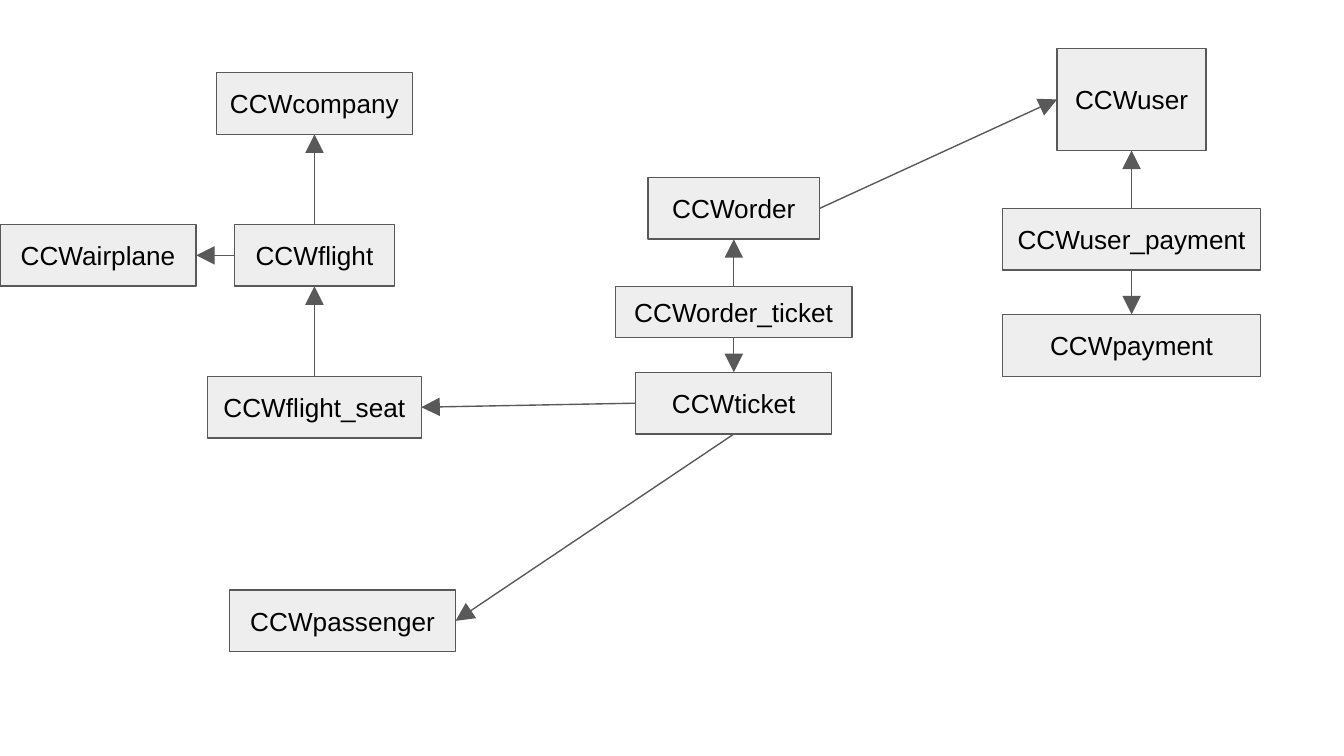
from lxml.etree import SubElement
from pptx import Presentation
from pptx.dml.color import RGBColor
from pptx.enum.shapes import MSO_CONNECTOR, MSO_SHAPE
from pptx.enum.text import MSO_ANCHOR, PP_ALIGN
from pptx.oxml.ns import qn
from pptx.util import Inches, Pt

ENTITY_FILL = RGBColor(0xEE, 0xEE, 0xEE)
OUTLINE = RGBColor(0x59, 0x59, 0x59)
TEXT = RGBColor(0x00, 0x00, 0x00)
WHITE = RGBColor(0xFF, 0xFF, 0xFF)

SLIDE_FORMAT = {"slide_width": Inches(10), "slide_height": Inches(10 * 9 / 16)}
ROW_HEIGHT = 0.46
TOP, LEFT, BOTTOM, RIGHT = range(4)
FRAME_FORMAT = {
    "word_wrap": True,
    "vertical_anchor": MSO_ANCHOR.MIDDLE,
    **{f"margin_{side}": Inches(0.1) for side in ("left", "top", "right", "bottom")},
}
FONT_FORMAT = {"name": "Arial", "size": Pt(14)}
ARROWHEAD = {"type": "triangle", "w": "lg", "len": "lg"}


def apply_format(target, values):
    """Set each named attribute on the target."""
    for name, value in values.items():
        setattr(target, name, value)


def style_outline(line):
    """Give a line the diagram's colour and weight."""
    line.color.rgb = OUTLINE
    line.width = Pt(0.75)


def add_entity(slide, name, center, top, width, height=ROW_HEIGHT):
    """Add one entity rectangle centred on a horizontal position."""
    entity = slide.shapes.add_shape(
        MSO_SHAPE.RECTANGLE,
        Inches(center - width / 2), Inches(top), Inches(width), Inches(height),
    )
    entity.shadow.inherit = False
    entity.fill.solid()
    entity.fill.fore_color.rgb = ENTITY_FILL
    style_outline(entity.line)
    apply_format(entity.text_frame, FRAME_FORMAT)
    label = entity.text_frame.paragraphs[0]
    label.alignment = PP_ALIGN.CENTER
    label_run = label.add_run()
    label_run.text = name
    apply_format(label_run.font, FONT_FORMAT)
    label_run.font.color.rgb = TEXT
    return entity


def add_reference(slide, source, source_side, target, target_side):
    """Join two entities with an arrow pointing at the target."""
    reference = slide.shapes.add_connector(MSO_CONNECTOR.STRAIGHT, 0, 0, 0, 0)
    reference.begin_connect(source, source_side)
    reference.end_connect(target, target_side)
    style_outline(reference.line)
    properties = reference._element.spPr
    SubElement(properties.find(qn("a:ln")), qn("a:tailEnd"), ARROWHEAD)
    SubElement(properties, qn("a:effectLst"))


def add_flight_region(slide, left, top, width, height):
    """Build the flight entities and return the seat and passenger."""
    airplane_width, passenger_width = 1.46, 1.68
    center = left + 2.34
    middle = top + 1.13
    company = add_entity(slide, "CCWcompany", center, top, 1.46)
    flight = add_entity(slide, "CCWflight", center, middle, 1.19)
    seat = add_entity(slide, "CCWflight_seat", center, top + 2 * 1.13, 1.59)
    airplane = add_entity(
        slide, "CCWairplane", left + airplane_width / 2, middle, airplane_width
    )
    passenger = add_entity(
        slide, "CCWpassenger", left + width - passenger_width / 2,
        top + height - ROW_HEIGHT, passenger_width,
    )
    add_reference(slide, flight, LEFT, airplane, RIGHT)
    add_reference(slide, seat, TOP, flight, BOTTOM)
    add_reference(slide, flight, TOP, company, BOTTOM)
    return seat, passenger


def add_order_region(slide, left, top, width, height):
    """Build the order entities and return the order and ticket."""
    center = left + width / 2
    order = add_entity(slide, "CCWorder", center, top, 1.28)
    order_ticket = add_entity(slide, "CCWorder_ticket", center, top + 0.81, width, 0.38)
    ticket = add_entity(slide, "CCWticket", center, top + height - ROW_HEIGHT, 1.46)
    add_reference(slide, order_ticket, TOP, order, BOTTOM)
    add_reference(slide, order_ticket, BOTTOM, ticket, TOP)
    return order, ticket


def add_user_region(slide, left, top, width, height):
    """Build the user and payment entities and return the user."""
    center = left + width / 2
    user = add_entity(slide, "CCWuser", center, top, 1.11, 0.76)
    user_payment = add_entity(slide, "CCWuser_payment", center, top + 1.19, width)
    payment = add_entity(slide, "CCWpayment", center, top + height - ROW_HEIGHT, width)
    add_reference(slide, user_payment, TOP, user, BOTTOM)
    add_reference(slide, user_payment, BOTTOM, payment, TOP)
    return user


def main():
    """Build and save the entity diagram."""
    deck = Presentation()
    apply_format(deck, SLIDE_FORMAT)
    slide = deck.slides.add_slide(deck.slide_layouts[6])
    slide.background.fill.solid()
    slide.background.fill.fore_color.rgb = WHITE
    seat, passenger = add_flight_region(slide, 0, 0.54, 3.39, 4.31)
    order, ticket = add_order_region(slide, 4.58, 1.32, 1.76, 1.91)
    user = add_user_region(slide, 7.46, 0.36, 1.92, 2.44)
    add_reference(slide, ticket, BOTTOM, passenger, RIGHT)
    add_reference(slide, ticket, LEFT, seat, RIGHT)
    add_reference(slide, order, RIGHT, user, LEFT)
    deck.save("out.pptx")


if __name__ == "__main__":
    main()
